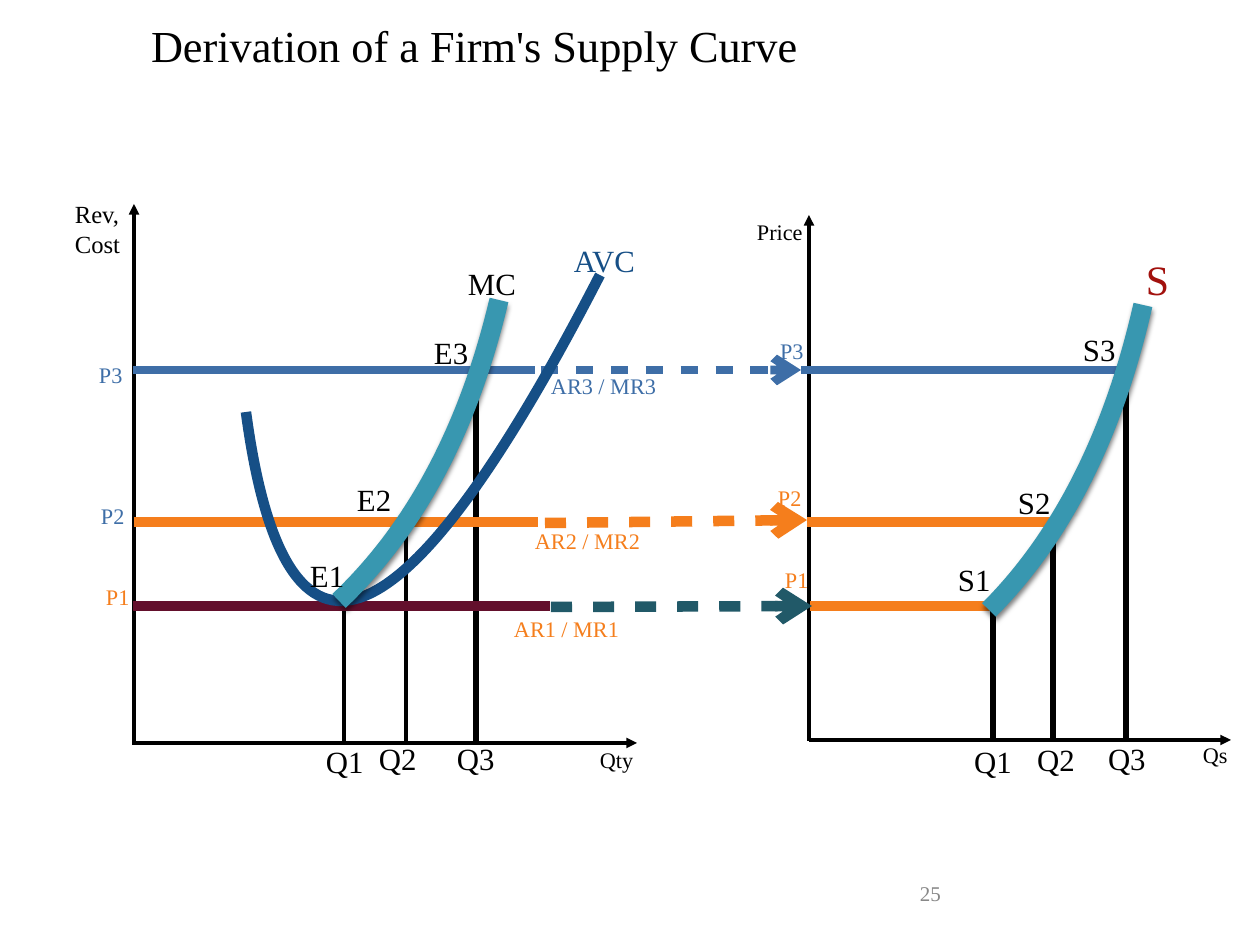
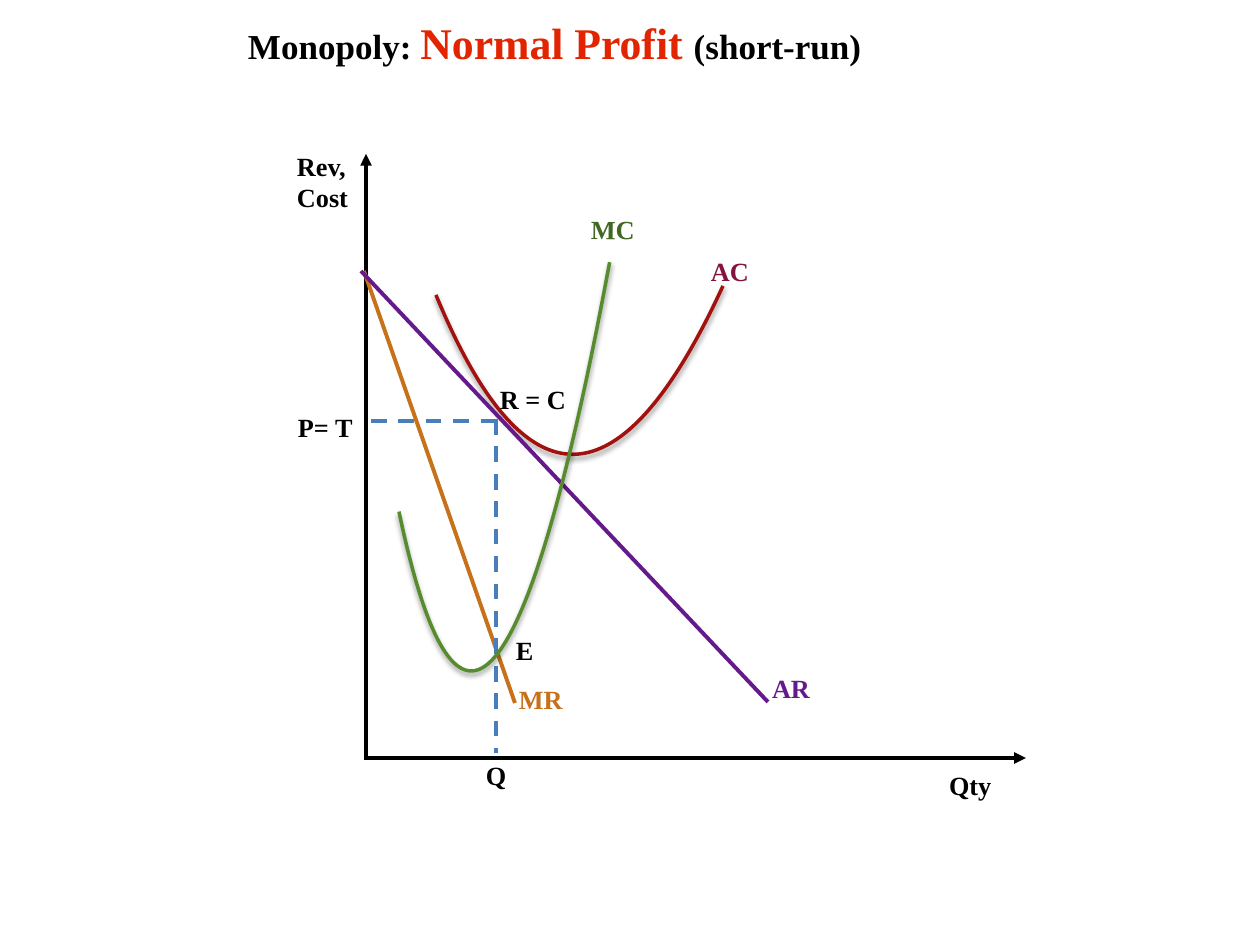
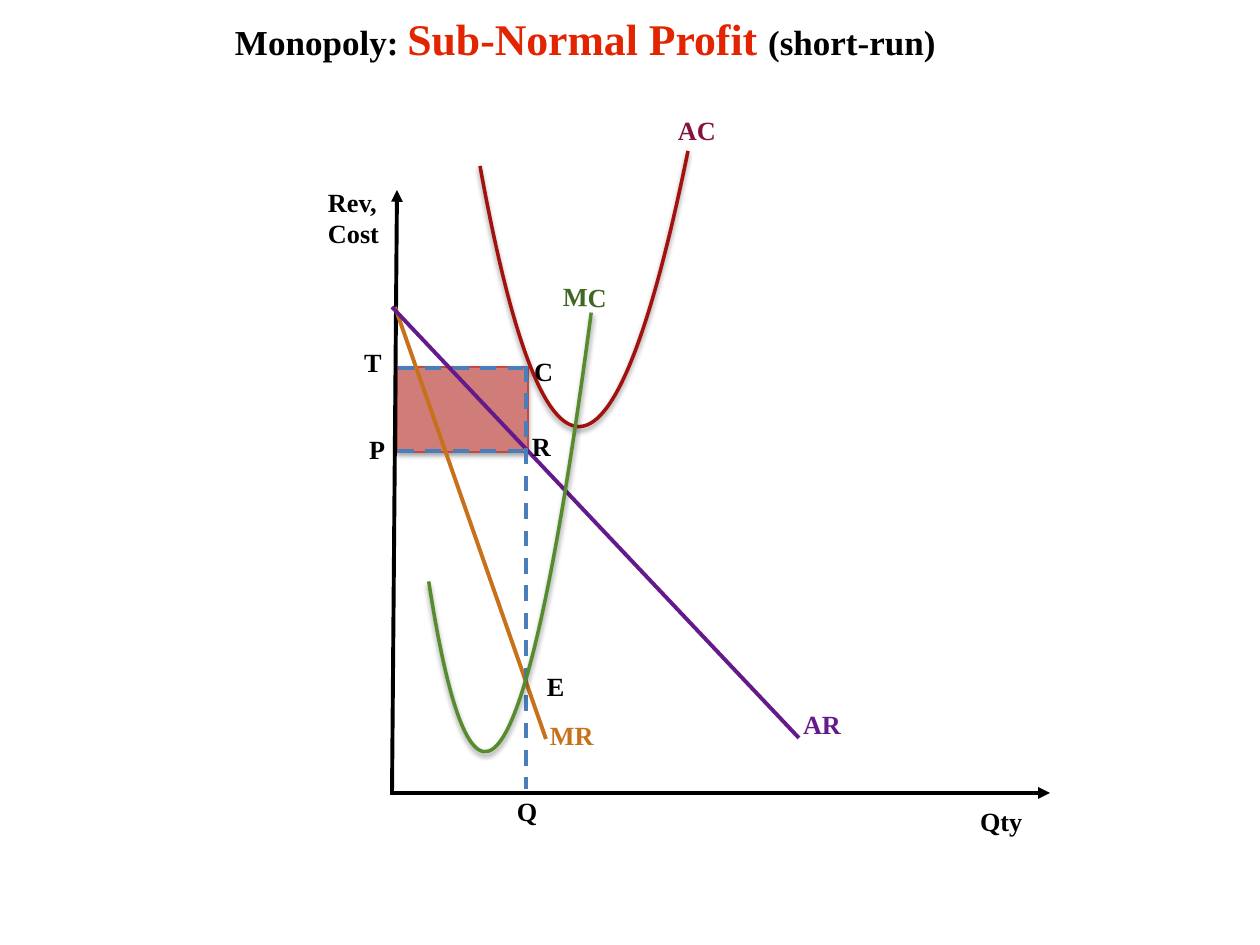
import lxml.etree
import pptx
import pptx.dml.color
import pptx.enum.dml
import pptx.enum.shapes
import pptx.enum.text
import pptx.oxml.ns
import pptx.util

RGBColor = pptx.dml.color.RGBColor
BLACK = RGBColor(0x00, 0x00, 0x00)
GREY = RGBColor(0x88, 0x88, 0x88)
BLUE = RGBColor(0x3E, 0x6E, 0xA7)
NAVY = RGBColor(0x16, 0x4F, 0x86)
GUIDE_BLUE = RGBColor(0x4A, 0x7E, 0xBB)
TEAL = RGBColor(0x38, 0x97, 0xB0)
DARK_TEAL = RGBColor(0x21, 0x59, 0x68)
ORANGE = RGBColor(0xF5, 0x7E, 0x1C)
OCHRE = RGBColor(0xC7, 0x71, 0x1B)
MAROON = RGBColor(0x63, 0x0F, 0x2C)
CRIMSON = RGBColor(0x84, 0x14, 0x3F)
DARK_RED = RGBColor(0xA2, 0x11, 0x0D)
BRIGHT_RED = RGBColor(0xE2, 0x24, 0x00)
GREEN = RGBColor(0x57, 0x8C, 0x2E)
DARK_GREEN = RGBColor(0x40, 0x68, 0x23)
PURPLE = RGBColor(0x65, 0x1A, 0x8C)
LOSS_FILL = RGBColor(0xD0, 0x7C, 0x79)
LOSS_LINE = RGBColor(0xBE, 0x4B, 0x48)

FONT = "Times New Roman"
PX = pptx.util.Inches(1) / 126
INSET = 6
DASH = pptx.enum.dml.MSO_LINE.DASH
LEFT = pptx.enum.text.PP_ALIGN.LEFT
CURVE_STEPS = 60
CURVE_TILT = 6.3
SMALL, MEDIUM, LARGE = 12.7, 17.6, 23.9


def emu(length):
    """Turn px into EMU."""
    return pptx.util.Emu(round(length * PX))


def add_element(parent, tag, **attributes):
    """Append a DrawingML element."""
    return lxml.etree.SubElement(parent, pptx.oxml.ns.qn(tag), attributes)


def set_frame(frame, inset):
    """Set equal margins, wrapping and top anchoring of a text frame."""
    frame.auto_size = pptx.enum.text.MSO_AUTO_SIZE.NONE
    frame.word_wrap = True
    frame.vertical_anchor = pptx.enum.text.MSO_ANCHOR.TOP
    frame.margin_left = frame.margin_right = emu(inset)
    frame.margin_top = frame.margin_bottom = emu(inset)


def write_text(shape, text, size, color, inset=0, bold=False, spacing=None):
    """Write one paragraph into a shape."""
    set_frame(shape.text_frame, inset)
    paragraph = shape.text_frame.paragraphs[0]
    paragraph.text = text
    paragraph.alignment = LEFT
    paragraph.line_spacing = spacing
    paragraph.font.name = FONT
    paragraph.font.size = pptx.util.Pt(size)
    paragraph.font.bold = bold
    paragraph.font.color.rgb = color


def add_label(slide, text, box, size, color, inset=0, bold=False, spacing=None):
    """Add a one-paragraph text box."""
    shape = slide.shapes.add_textbox(*map(emu, box))
    write_text(shape, text, size, color, inset, bold, spacing)
    return shape


def add_bold_label(slide, text, box, color=BLACK):
    """Add a label in the style of the monopoly diagrams."""
    add_label(slide, text, box, 15, color, INSET, True)


def add_tilted_label(slide, text, box, color):
    """Add a slightly turned label on a clear outline."""
    left, top, width, height = map(emu, box)
    builder = slide.shapes.build_freeform(left, top)
    builder.add_line_segments([(left + width, top), (left + width, top + height),
                               (left, top + height)])
    shape = builder.convert_to_shape()
    shape.shadow.inherit = False
    shape.fill.background()
    shape.line.fill.background()
    shape.rotation = 0.6
    write_text(shape, text, 15, color, INSET, True)


def add_title(slide, box, runs, inset, bold):
    """Place the title and fill it with (text, size, colour) runs."""
    title = slide.shapes.title
    title.left, title.top, title.width, title.height = map(emu, box)
    set_frame(title.text_frame, inset)
    paragraph = title.text_frame.paragraphs[0]
    paragraph.alignment = LEFT
    paragraph.font.name = FONT
    paragraph.font.bold = bold
    for text, size, color in runs:
        run = paragraph.add_run()
        run.text = text
        run.font.size = pptx.util.Pt(size)
        run.font.color.rgb = color


def add_line(slide, start, end, color, width, dash=None, arrow=None):
    """Add a straight line with an optional dash and arrowhead."""
    connector = slide.shapes.add_connector(
        pptx.enum.shapes.MSO_CONNECTOR.STRAIGHT, *map(emu, start + end))
    connector.line.color.rgb = color
    connector.line.width = pptx.util.Pt(width)
    if dash:
        connector.line.dash_style = dash
    if arrow:
        add_element(connector.line._get_or_add_ln(), "a:tailEnd", type=arrow)
    add_element(connector._element.spPr, "a:effectLst")
    return connector


def add_price_arrow(slide, start, end, color, width):
    """Add an open arrow with dashes and gaps of two line widths."""
    connector = add_line(slide, start, end, color, width, DASH, "arrow")
    preset = connector.line._ln.find(pptx.oxml.ns.qn("a:prstDash"))
    custom = lxml.etree.Element(pptx.oxml.ns.qn("a:custDash"))
    add_element(custom, "a:ds", d="200000", sp="200000")
    preset.getparent().replace(preset, custom)


def add_shadow(shape, opacity, distance):
    """Add a soft shadow that falls straight down."""
    effects = shape._element.spPr.find(pptx.oxml.ns.qn("a:effectLst"))
    shadow = add_element(
        effects, "a:outerShdw", blurRad=str(pptx.util.Pt(3)),
        dist=str(pptx.util.Pt(distance)), dir="5400000", rotWithShape="0")
    color = add_element(shadow, "a:srgbClr", val=str(BLACK))
    add_element(color, "a:alpha", val=str(opacity * 1000))


def bezier_value(values, t):
    """Return one coordinate at t on a cubic curve."""
    weights = ((1 - t) ** 3, 3 * t * (1 - t) ** 2, 3 * t * t * (1 - t), t ** 3)
    return sum(weight * value for weight, value in zip(weights, values))


def curve_extent(values):
    """Return the lowest and highest EMU coordinate that a curve reaches."""
    reached = [emu(bezier_value(values, step / CURVE_STEPS))
               for step in range(CURVE_STEPS + 1)]
    return min(reached), max(reached)


def add_curve(slide, controls, color, width):
    """Draw an open cubic curve from four control points."""
    (left, right), (top, bottom) = map(curve_extent, zip(*controls))
    points = [tuple(map(emu, control)) for control in controls]
    builder = slide.shapes.build_freeform(*points[0])
    builder.add_line_segments([(left, top), (right, bottom), points[-1]], close=False)
    shape = builder.convert_to_shape()

    outline = shape._element.spPr.find(".//" + pptx.oxml.ns.qn("a:path"))
    for segment in outline.findall(pptx.oxml.ns.qn("a:lnTo")):
        outline.remove(segment)
    cubic = add_element(outline, "a:cubicBezTo")
    for x, y in points[1:]:
        add_element(cubic, "a:pt", x=str(x - left), y=str(y - top))

    shape.shadow.inherit = False
    shape.fill.background()
    shape.line.color.rgb = color
    shape.line.width = pptx.util.Pt(width)
    return shape


def add_axes(slide, vertical, horizontal, width):
    """Draw two axes, each from its base to its arrow tip."""
    for start, end in (vertical, horizontal):
        add_line(slide, start, end, BLACK, width, arrow="triangle")


def add_loss_area(slide, box):
    """Add the shaded loss rectangle."""
    shape = slide.shapes.add_shape(
        pptx.enum.shapes.MSO_SHAPE.RECTANGLE, *map(emu, box))
    shape.shadow.inherit = False
    shape.fill.solid()
    shape.fill.fore_color.rgb = LOSS_FILL
    shape.line.color.rgb = LOSS_LINE
    shape.line.width = pptx.util.Pt(0.75)
    add_shadow(shape, 38, 1.6)


def add_page_number(slide, text):
    """Add the page number."""
    shape = add_label(slide, text, (913, 874, 34, 38), 12, GREY, INSET)
    shape.text_frame.word_wrap = False
    shape.text_frame.vertical_anchor = pptx.enum.text.MSO_ANCHOR.MIDDLE
    shape.text_frame.paragraphs[0].alignment = pptx.enum.text.PP_ALIGN.RIGHT


def draw_supply(slide):
    """Draw the cost diagram and the supply curve derived from it."""
    add_title(slide, (151, 18, 983, 59),
              [("Derivation of a Firm's Supply Curve", 25.3, BLACK)], 0, False)
    add_axes(slide, ((134, 745), (134, 204)), ((136, 743), (637, 743)), 2)
    add_axes(slide, ((809, 741), (809, 215)), ((809, 740), (1231, 740)), 2)

    for x, bottom, top, width in (
            (344, 743, 602, 2), (406, 743, 525, 2), (476, 742, 374, 3),
            (993, 740, 602, 3), (1053, 741, 523, 3), (1126, 741, 370, 3)):
        add_line(slide, (x, bottom), (x, top), BLACK, width)

    for left, right, y, color, width in (
            (133, 535, 370, BLUE, 5), (134, 538, 522, ORANGE, 6),
            (133, 550, 606, MAROON, 6), (801, 1123, 370, BLUE, 5),
            (807, 1052, 522, ORANGE, 6), (810, 995, 606, ORANGE, 6)):
        add_line(slide, (left, y), (right, y), color, width)

    add_price_arrow(slide, (541, 370), (801, 370), BLUE, 5)
    add_price_arrow(slide, (545, 523), (807, 520), ORANGE, 6)
    add_price_arrow(slide, (551, 607), (812, 606), DARK_TEAL, 6)

    add_curve(slide, ((246, 412), (285, 703), (403, 658), (600, 275)), NAVY, 6)
    for controls in (((499, 300), (469, 427), (416, 528), (339, 601)),
                     ((1143, 305), (1114, 433), (1063, 536), (989, 610))):
        add_shadow(add_curve(slide, controls, TEAL, 11), 50, 2)

    for text, box, size, color in (
            ("Rev, Cost", (75, 199, 87, 59), 14.1, BLACK),
            ("Price", (757, 218, 87, 32), SMALL, BLACK),
            ("Qty", (600, 746, 103, 32), SMALL, BLACK),
            ("Qs", (1203, 741, 103, 32), SMALL, BLACK),
            ("MC", (468, 265, 108, 36), MEDIUM, BLACK),
            ("AVC", (574, 242, 154, 60), MEDIUM, NAVY),
            ("E1", (310, 557, 40, 39), MEDIUM, BLACK),
            ("E3", (434, 334, 62, 38), MEDIUM, BLACK),
            ("Q1", (974, 743, 83, 53), MEDIUM, BLACK),
            ("Q2", (1037, 741, 83, 53), MEDIUM, BLACK),
            ("Q3", (1108, 740, 83, 53), MEDIUM, BLACK),
            ("P3", (99, 361, 60, 60), SMALL, BLUE),
            ("P2", (101, 502, 60, 39), SMALL, BLUE),
            ("P1", (106, 583, 49, 67), SMALL, ORANGE),
            ("P3", (780, 337, 72, 32), SMALL, BLUE),
            ("P2", (778, 484, 50, 32), SMALL, ORANGE),
            ("P1", (785, 566, 50, 32), SMALL, ORANGE),
            ("AR3 / MR3", (551, 372, 130, 26), SMALL, BLUE),
            ("AR2 / MR2", (535, 527, 112, 26), SMALL, ORANGE),
            ("AR1 / MR1", (514, 615, 112, 26), SMALL, ORANGE)):
        add_label(slide, text, box, size, color)

    for text, box, size, color in (
            ("E2", (357, 485, 50, 35), MEDIUM, BLACK),
            ("Q1", (326, 747, 100, 37), MEDIUM, BLACK),
            ("Q2", (379, 744, 100, 37), MEDIUM, BLACK),
            ("Q3", (457, 744, 100, 37), MEDIUM, BLACK),
            ("S1", (958, 565, 100, 37), MEDIUM, BLACK),
            ("S2", (1018, 488, 100, 37), MEDIUM, BLACK),
            ("S3", (1083, 335, 100, 37), MEDIUM, BLACK),
            ("S", (1146, 259, 101, 60), LARGE, DARK_RED)):
        add_label(slide, text, box, size, color, spacing=0.9)
    add_page_number(slide, "25")


def draw_monopoly(slide, profit, title_box, shift, axes,
                  average_cost, marginal_cost, guides, labels):
    """Draw a short-run monopoly diagram, its revenue lines moved by shift."""
    def moved(x, y, *size):
        """Move a point or box by the shift."""
        return (x + shift[0], y + shift[1], *size)

    add_title(slide, title_box, [
        ("Monopoly: ", 20, BLACK), (profit + " ", 25, BRIGHT_RED),
        ("(short-run)", 20, BLACK)], INSET, True)
    add_axes(slide, *axes, 2.25)
    add_line(slide, moved(364, 271), moved(515, 703), OCHRE, 2.25)
    add_shadow(add_curve(slide, average_cost, DARK_RED, 2), 38, 1.6)
    add_line(slide, moved(361, 271), moved(768, 702), PURPLE, 2.25)
    for start, end in guides:
        add_line(slide, start, end, GUIDE_BLUE, 2.25, DASH)
    marginal_curve = add_curve(slide, marginal_cost, GREEN, 2)
    marginal_curve.rotation = CURVE_TILT
    add_shadow(marginal_curve, 38, 1.6)

    for text, box, color in (
            ("Qty", (943, 763, 96, 53), BLACK),
            ("Rev, Cost", (291, 144, 105, 91), BLACK),
            ("E", (510, 628, 40, 53), BLACK),
            ("MR", (513, 677, 74, 53), OCHRE),
            ("AR", (766, 666, 71, 53), PURPLE)):
        add_bold_label(slide, text, moved(*box), color)
    for text, box in labels:
        add_bold_label(slide, text, box)


def add_cost_labels(slide, average_box, marginal_box):
    """Name the two cost curves."""
    add_bold_label(slide, "AC", average_box, CRIMSON)
    add_tilted_label(slide, "MC", marginal_box, DARK_GREEN)


def draw_normal_profit(slide):
    """Draw the monopoly that just covers its cost."""
    draw_monopoly(
        slide, "Normal Profit", (242, 10, 683, 66), (0, 0),
        (((366, 760), (366, 154)), ((366, 758), (1026, 758))),
        ((723, 286), (621, 508), (525, 510), (436, 295)),
        ((587, 251), (554, 699), (493, 791), (405, 522)),
        (((496, 419), (496, 753)), ((371, 421), (500, 421))),
        (("Q", (480, 753, 74, 53)), ("R = C", (494, 377, 86, 53)),
         ("P= T", (292, 405, 79, 58))))
    add_cost_labels(slide, (705, 249, 87, 37), (585, 208, 93, 50))


def draw_sub_normal_profit(slide):
    """Draw the monopoly that makes a loss."""
    add_loss_area(slide, (397, 367, 131, 85))
    draw_monopoly(
        slide, "Sub-Normal Profit", (229, 6, 803, 66), (31, 36),
        (((392, 795), (397, 190)), ((390, 793), (1050, 793))),
        ((688, 151), (614, 514), (544, 518), (480, 166)),
        ((567, 304), (557, 783), (513, 878), (435, 589)),
        (((526, 366), (526, 789)), ((398, 451), (532, 451)),
         ((398, 368), (532, 368))),
        (("Q", (511, 789, 37, 53)), ("C", (528, 349, 43, 53)),
         ("R", (526, 424, 52, 53)), ("P", (363, 427, 44, 53)),
         ("T", (358, 340, 54, 53))))
    add_cost_labels(slide, (672, 108, 63, 60), (557, 275, 73, 76))


def main():
    """Build the three slides."""
    presentation = pptx.Presentation()
    presentation.slide_width = emu(1260)
    presentation.slide_height = emu(945)
    for draw in (draw_supply, draw_normal_profit, draw_sub_normal_profit):
        draw(presentation.slides.add_slide(presentation.slide_layouts[5]))
    presentation.save("out.pptx")


if __name__ == "__main__":
    main()
